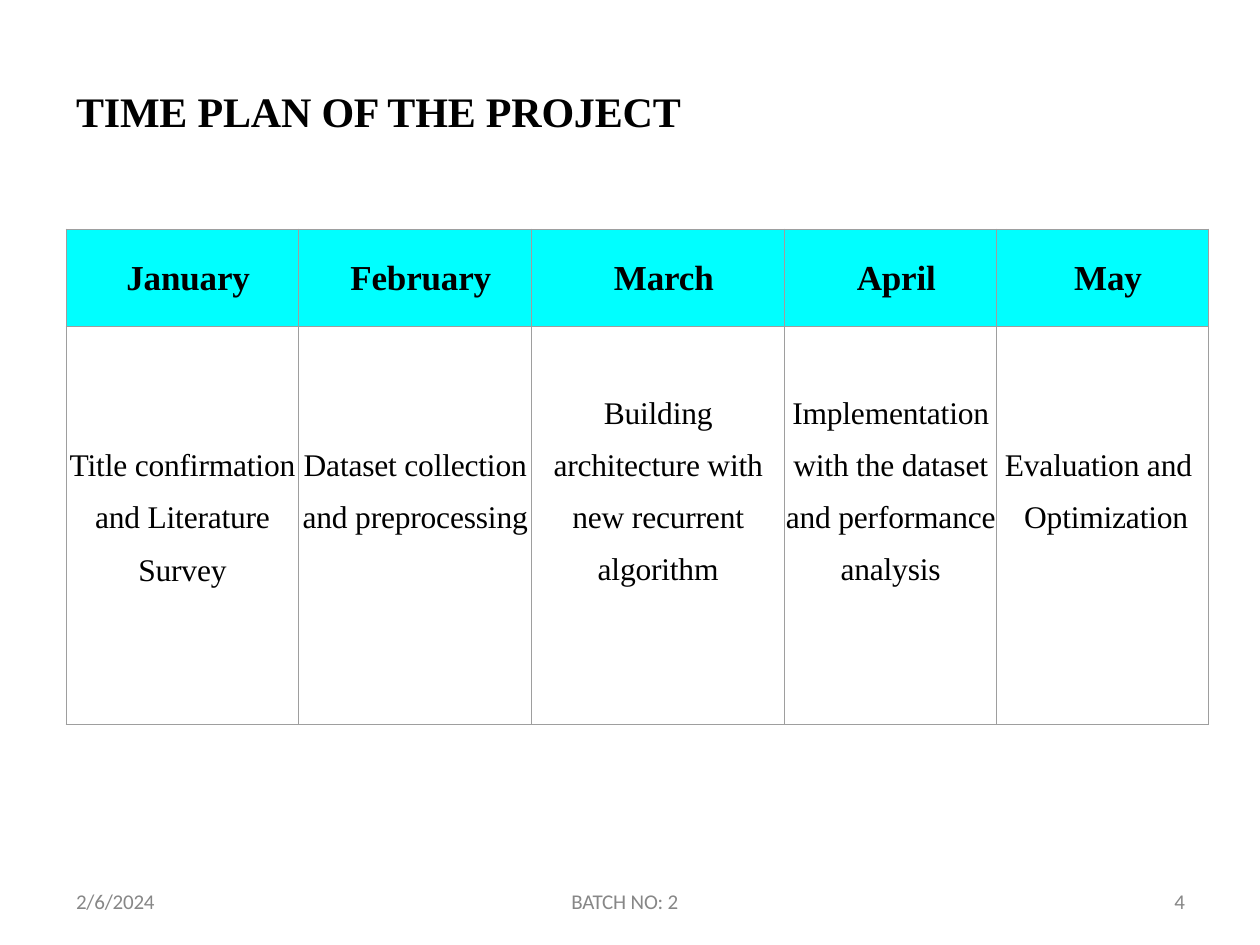
from lxml.etree import SubElement
from pptx import Presentation
from pptx.dml.color import RGBColor
from pptx.enum.text import MSO_ANCHOR as Anchor, MSO_AUTO_SIZE as AutoSize, PP_ALIGN as Align
from pptx.oxml.ns import qn
from pptx.util import Pt

SERIF = "Times New Roman"
COLUMN_WIDTHS = [133, 133, 144.75, 121, 121]
ROW_HEIGHTS = [55.5, 227.5]
BODY_LINE = 29.9
MONTHS = [
    ("January", 2, ["Title confirmation and Literature Survey"]),
    ("February", 2, ["Dataset collection and preprocessing "]),
    ("March", 1, ["Building architecture with new recurrent algorithm"]),
    ("April", 1, ["Implementation with the dataset and performance analysis"]),
    ("May", 2, ["Evaluation and ", " Optimization"]),
]


def color(value):
    """Turn a hex string into a colour."""
    return RGBColor.from_string(value)


def set_margins(holder, top=0):
    """Clear the margins of a cell or text frame, except for the top one."""
    holder.margin_left = holder.margin_right = holder.margin_bottom = 0
    holder.margin_top = Pt(top)


def write(frame, lines, size=18, font=SERIF, hex_color="000000", bold=False, align=Align.LEFT,
          line_spacing=None, before=0, indent=0, tracking=0):
    """Write one formatted paragraph for each line."""
    frame.word_wrap = True
    for index, line in enumerate(lines):
        paragraph = frame.paragraphs[0] if index == 0 else frame.add_paragraph()
        paragraph.alignment = align
        paragraph.line_spacing = line_spacing
        paragraph.space_before = Pt(before)
        properties = paragraph._p.get_or_add_pPr()
        properties.set("marL", str(Pt(indent)))
        properties.set("indent", "0")
        run = paragraph.add_run()
        run.text = line
        run.font.size, run.font.name, run.font.bold = Pt(size), font, bold
        run.font.color.rgb = color(hex_color)
        run.font._element.set("spc", str(round(tracking * 100)))


def add_title(slide, left, top, width, height):
    """Place and format the slide title."""
    title = slide.shapes.title
    title.left, title.top, title.width, title.height = map(Pt, (left, top, width, height))
    frame = title.text_frame
    set_margins(frame, top=1)
    frame.vertical_anchor = Anchor.TOP
    frame.auto_size = AutoSize.NONE
    write(frame, ["TIME PLAN OF THE PROJECT"], size=24, bold=True, before=1, indent=1, tracking=-0.1)


def set_borders(cell, hex_color="9E9E9E", width=0.75):
    """Draw the four borders of a cell."""
    properties = cell._tc.get_or_add_tcPr()
    for index, side in enumerate(("lnL", "lnR", "lnT", "lnB")):
        line = properties.makeelement(qn(f"a:{side}"), {"w": str(Pt(width))})
        fill = SubElement(line, qn("a:solidFill"))
        SubElement(fill, qn("a:srgbClr"), val=hex_color)
        properties.insert(index, line)


def add_plan(slide, left, top):
    """Place the table of months and their tasks."""
    frame = slide.shapes.add_table(len(ROW_HEIGHTS), len(MONTHS), Pt(left), Pt(top),
                                   Pt(sum(COLUMN_WIDTHS)), Pt(sum(ROW_HEIGHTS)))
    table = frame.table
    for row, height in zip(table.rows, ROW_HEIGHTS):
        row.height = Pt(height)
    for index, (month, lines_above, tasks) in enumerate(MONTHS):
        table.columns[index].width = Pt(COLUMN_WIDTHS[index])
        header, body = table.cell(0, index), table.cell(1, index)
        for cell, fill in ((header, "00FFFF"), (body, None)):
            if fill:
                cell.fill.solid()
                cell.fill.fore_color.rgb = color(fill)
            else:
                cell.fill.background()
            set_borders(cell)
        set_margins(header, top=6)
        set_margins(body, top=BODY_LINE * lines_above)
        write(header.text_frame, [month], size=20, bold=True, align=Align.CENTER,
              line_spacing=1.5, before=6, indent=6.5, tracking=-0.1)
        write(body.text_frame, tasks, align=Align.CENTER, line_spacing=1.5, tracking=-0.1)


def add_footer(slide, top, height):
    """Place the date, the batch and the page number on one line."""
    items = [("2/6/2024", 42.5, 57.5, 1), ("BATCH NO: 2", 325.5, 65.5, 1), ("4", 669, 10, 2)]
    for text, left, width, indent in items:
        box = slide.shapes.add_textbox(Pt(left), Pt(top), Pt(width), Pt(height))
        set_margins(box.text_frame)
        write(box.text_frame, [text], size=12, font="Calibri", hex_color="878787",
              line_spacing=Pt(12.4), indent=indent, tracking=-0.1)


def main():
    """Build and save the presentation."""
    presentation = Presentation()
    presentation.slide_width, presentation.slide_height = Pt(720), Pt(540)
    slide = presentation.slides.add_slide(presentation.slide_layouts[5])
    add_title(slide, 42.5, 48, 349, 31)
    add_plan(slide, 37.75, 131)
    add_footer(slide, 509.75, 13.5)
    presentation.save("out.pptx")


if __name__ == "__main__":
    main()
